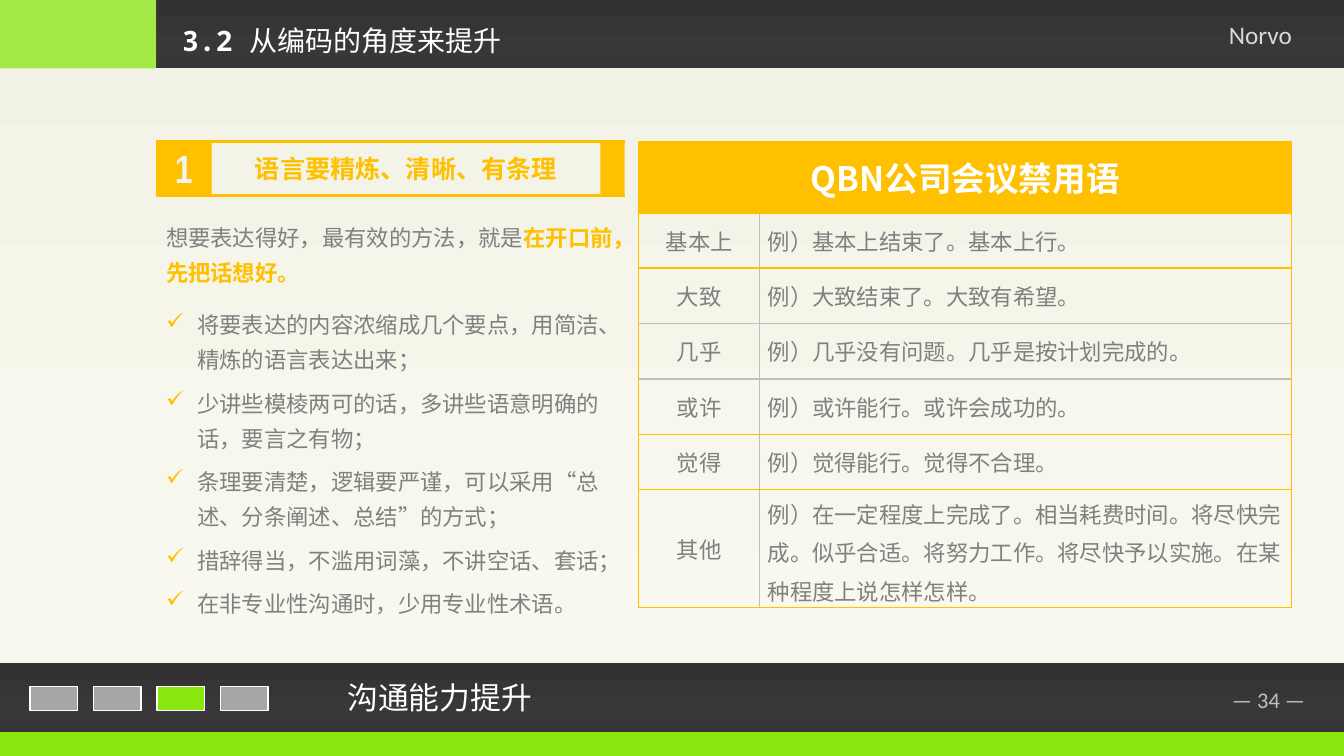
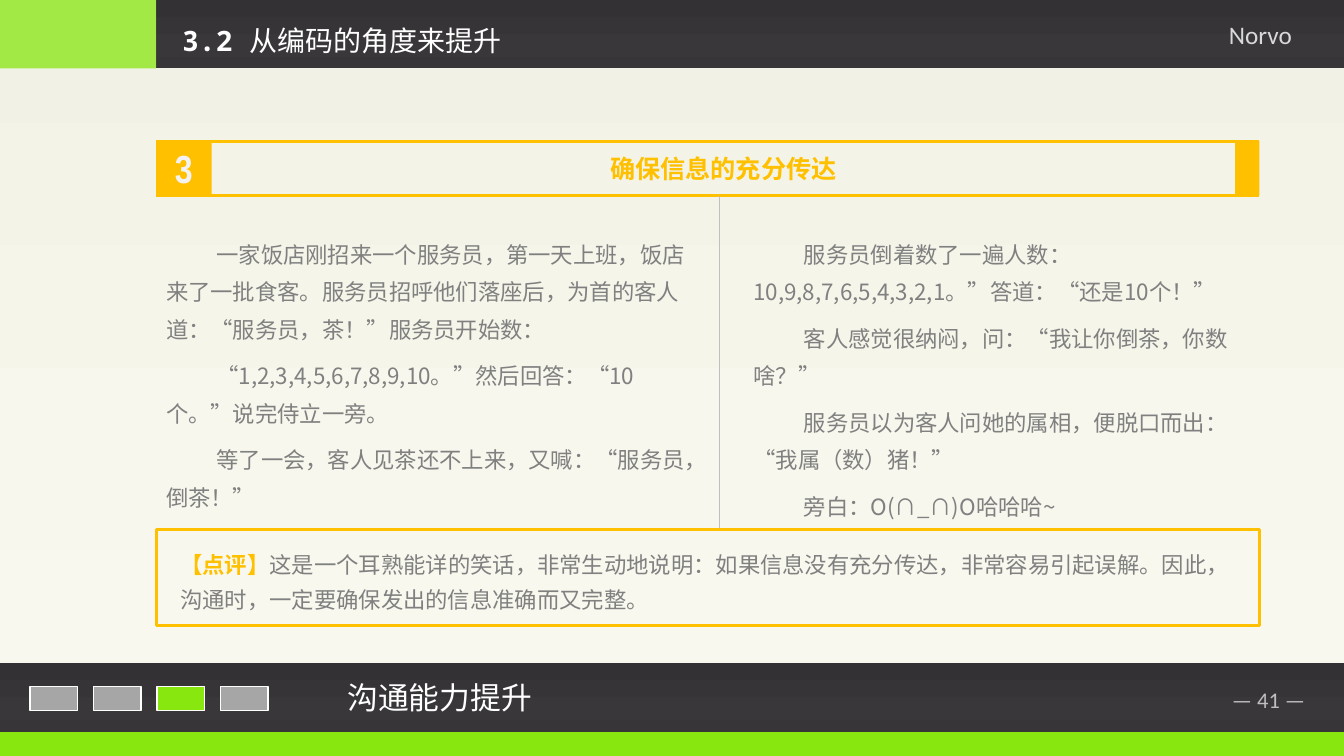
"""Build two slides on improving communication skills."""
import lxml.etree
import pptx
import pptx.dml.color
import pptx.enum.dml
import pptx.enum.shapes
import pptx.enum.text
import pptx.oxml.ns
import pptx.util

PX = 9144
SANS = "Noto Sans CJK SC"
GOLD, GRAY, GREEN, WHITE, SILVER = "FFC000", "808080", "88E70F", "FFFFFF", "BFBFBF"
CREAM = [(0, "F1F1E5"), (74, "F7F7ED"), (83, "F8F8EE"), (100, "F9F9EF")]
CHARCOAL = [(0, "333134"), (74, "39373A"), (83, "373538"), (100, "363436")]
CENTER = pptx.enum.text.PP_ALIGN.CENTER
MIDDLE = pptx.enum.text.MSO_ANCHOR.MIDDLE
color = pptx.dml.color.RGBColor.from_string
qn = pptx.oxml.ns.qn
subelement = lxml.etree.SubElement


def add_box(slide, bounds, fill=None, line=None, weight=2):
    bounds = [value * PX for value in bounds]
    if not fill and not line:
        return slide.shapes.add_textbox(*bounds)
    shape = slide.shapes.add_shape(pptx.enum.shapes.MSO_SHAPE.RECTANGLE, *bounds)
    shape.shadow.inherit = False
    if isinstance(fill, list):
        shape.fill.gradient()
        shape.fill.gradient_angle = 270
        stops = shape._element.spPr.find(".//" + qn("a:gsLst"))
        for stop in list(stops):
            stops.remove(stop)
        for position, value in fill:
            stop = subelement(stops, qn("a:gs"), pos=str(position * 1000))
            subelement(stop, qn("a:srgbClr"), val=value)
    elif fill:
        shape.fill.solid()
        shape.fill.fore_color.rgb = color(fill)
    else:
        shape.fill.background()
    if line:
        shape.line.color.rgb = color(line)
        shape.line.width = pptx.util.Pt(weight)
    else:
        shape.line.fill.background()
    return shape


def add_text(frame, paragraphs, size, align=None, spacing=None, after=0, margin=0, indent=0, bullet=None):
    frame.word_wrap = True
    for index, runs in enumerate(paragraphs):
        paragraph = frame.add_paragraph() if index else frame.paragraphs[0]
        paragraph.alignment = align or pptx.enum.text.PP_ALIGN.LEFT
        paragraph.line_spacing = spacing
        paragraph.space_after = pptx.util.Pt(after)
        properties = paragraph._p.get_or_add_pPr()
        properties.set("marL", str(margin * PX))
        properties.set("indent", str(indent * PX))
        if bullet:
            bullet_color = subelement(properties, qn("a:buClr"))
            subelement(bullet_color, qn("a:srgbClr"), val=GOLD)
            subelement(properties, qn("a:buChar"), char=bullet)
        for text, value, bold, font in runs:
            run = paragraph.add_run()
            run.text = text
            run.font.size = pptx.util.Pt(size)
            run.font.bold = bold
            run.font.color.rgb = color(value)
            run.font.name = font
            subelement(run._r.get_or_add_rPr(), qn("a:ea"), typeface=font)


presentation = pptx.Presentation()
presentation.slide_width = 1334 * PX
presentation.slide_height = 750 * PX

pages = [
    (34, "1", 620, "语言要精炼、清晰、有条理", []),
    (41, "3", 1250, "确保信息的充分传达", [(714, 194, 714, 525, SILVER, 1)]),
]
slides = []
for page, number, right, heading, dividers in pages:
    slide = presentation.slides.add_slide(presentation.slide_layouts[6])
    slides.append(slide)
    add_box(slide, (0, 0, 1334, 658), CREAM)
    add_box(slide, (0, 726, 1334, 24), GREEN)
    add_box(slide, (0, 658, 1334, 68), CHARCOAL)
    add_box(slide, (155, 0, 1179, 68), CHARCOAL)
    corner = add_box(slide, (0, 0, 155, 68), GREEN)
    corner_color = corner._element.spPr.find(".//" + qn("a:srgbClr"))
    subelement(corner_color, qn("a:alpha"), val="74000")
    for step in range(4):
        add_box(slide, (30 + 63 * step, 681, 47, 24), GREEN if step == 2 else "A6A6A6", WHITE, 1.2)

    labels = [
        ((1213, 676, 115, 37), 16, [(f"— {page} —", SILVER, False, "Calibri")]),
        ((335, 668, 427, 47), 22, [("沟通能力提升", WHITE, False, SANS)]),
        ((1210, 14, 110, 40), 18, [("Norvo", "D9D9D9", False, "Calibri")]),
        ((171, 18, 409, 44), 20, [("3.2 ", WHITE, True, "Noto Sans Mono"),
                                  ("从编码的角度来提升", WHITE, False, SANS)]),
    ]
    for bounds, size, runs in labels:
        add_text(add_box(slide, bounds).text_frame, [runs], size)

    number_box = add_box(slide, (155, 140, 55, 54), GOLD)
    number_box.text_frame.vertical_anchor = MIDDLE
    add_text(number_box.text_frame, [[(number, "F2F2F2", True, "Arial Narrow")]], 28, CENTER)
    heading_box = add_box(slide, (210, 147, right - 234, 40))
    add_text(heading_box.text_frame, [[(heading, GOLD, True, SANS)]], 18, CENTER)
    add_box(slide, (right - 24, 140, 24, 54), GOLD)
    rules = [(155, y, right, y, GOLD, 2.25) for y in (140, 194)] + dividers
    for *ends, value, weight in rules:
        rule = slide.shapes.add_connector(
            pptx.enum.shapes.MSO_CONNECTOR.STRAIGHT, *[end * PX for end in ends])
        rule.line.color.rgb = color(value)
        rule.line.width = pptx.util.Pt(weight)
        subelement(rule._element.spPr, qn("a:effectLst"))

language_slide, story_slide = slides

intro = [("想要表达得好，最有效的方法，就是", GRAY, False, SANS),
         ("在开口前，先把话想好。", GOLD, True, SANS)]
add_text(add_box(language_slide, (155, 209, 465, 80)).text_frame, [intro], 16,
         spacing=pptx.util.Pt(25), after=6)
advice = [
    "将要表达的内容浓缩成几个要点，用简洁、精炼的语言表达出来；",
    "少讲些模棱两可的话，多讲些语意明确的话，要言之有物；",
    "条理要清楚，逻辑要严谨，可以采用“总述、分条阐述、总结”的方式；",
    "措辞得当，不滥用词藻，不讲空话、套话；",
    "在非专业性沟通时，少用专业性术语。",
]
add_text(add_box(language_slide, (155, 296, 465, 322)).text_frame,
         [[(text, GRAY, False, SANS)] for text in advice], 16,
         spacing=pptx.util.Pt(25), after=6, margin=31, indent=-31, bullet="✓")

phrases = [
    ("QBN公司会议禁用语", ""),
    ("基本上", "例）基本上结束了。基本上行。"),
    ("大致", "例）大致结束了。大致有希望。"),
    ("几乎", "例）几乎没有问题。几乎是按计划完成的。"),
    ("或许", "例）或许能行。或许会成功的。"),
    ("觉得", "例）觉得能行。觉得不合理。"),
    ("其他", "例）在一定程度上完成了。相当耗费时间。将尽快完成。似乎合适。"
             "将努力工作。将尽快予以实施。在某种程度上说怎样怎样。"),
]
heights = [72, 54, 55, 55, 55, 55, 117]
table = language_slide.shapes.add_table(
    len(phrases), 2, 634 * PX, 140 * PX, 648 * PX, sum(heights) * PX).table
table.first_row = False
table.horz_banding = False
table.columns[0].width = 120 * PX
table.columns[1].width = 528 * PX
edge_colors = [GOLD, GOLD, GOLD, SILVER, SILVER, GOLD, GOLD, GOLD]
for row, texts in enumerate(phrases):
    table.rows[row].height = heights[row] * PX
    for column, text in enumerate(texts):
        cell = table.cell(row, column)
        cell.vertical_anchor = MIDDLE
        cell.margin_left = cell.margin_right = 8 * PX
        cell.margin_top = cell.margin_bottom = 0
        if row == 0:
            cell.fill.solid()
            cell.fill.fore_color.rgb = color(GOLD)
        else:
            cell.fill.background()
        if text:
            add_text(cell.text_frame, [[(text, GRAY if row else WHITE, row == 0, SANS)]],
                     16 if row else 24, None if column else CENTER,
                     1.2 if len(text) > 30 else None)
        inner = SILVER if row else GOLD
        borders = [("L", inner if column else GOLD), ("R", GOLD if column else inner),
                   ("T", edge_colors[row]), ("B", edge_colors[row + 1])]
        cell_properties = cell._tc.get_or_add_tcPr()
        for position, (side, value) in enumerate(borders):
            border = subelement(cell_properties, qn("a:ln" + side), w="12700")
            cell_properties.insert(position, border)
            border_fill = subelement(border, qn("a:solidFill"))
            subelement(border_fill, qn("a:srgbClr"), val=value)
table.cell(0, 0).merge(table.cell(0, 1))

stories = [
    ((155, 223, 543, 289), [
        "一家饭店刚招来一个服务员，第一天上班，饭店来了一批食客。"
        "服务员招呼他们落座后，为首的客人道：“服务员，茶！”服务员开始数：",
        "“1,2,3,4,5,6,7,8,9,10。”然后回答：“10个。”说完侍立一旁。",
        "等了一会，客人见茶还不上来，又喊：“服务员，倒茶！”",
    ]),
    ((738, 223, 512, 297), [
        "服务员倒着数了一遍人数：10,9,8,7,6,5,4,3,2,1。”答道：“还是10个！”",
        "客人感觉很纳闷，问：“我让你倒茶，你数啥？”",
        "服务员以为客人问她的属相，便脱口而出：“我属（数）猪！”",
        "旁白：O(∩_∩)O哈哈哈~",
    ]),
]
for bounds, paragraphs in stories:
    add_text(add_box(story_slide, bounds).text_frame,
             [[(text, GRAY, False, SANS)] for text in paragraphs], 16,
             spacing=pptx.util.Pt(27), after=6, indent=50)

comment = add_box(story_slide, (155, 525, 1095, 96), line=GOLD).text_frame
comment.vertical_anchor = MIDDLE
comment.margin_left = 24 * PX
comment.margin_right = 27 * PX
add_text(comment, [[
    ("【点评】", GOLD, True, SANS),
    ("这是一个耳熟能详的笑话，非常生动地说明：如果信息没有充分传达，非常容易引起误解。"
     "因此，沟通时，一定要确保发出的信息准确而又完整。", GRAY, False, SANS),
]], 16, spacing=pptx.util.Pt(25))

presentation.save("out.pptx")
